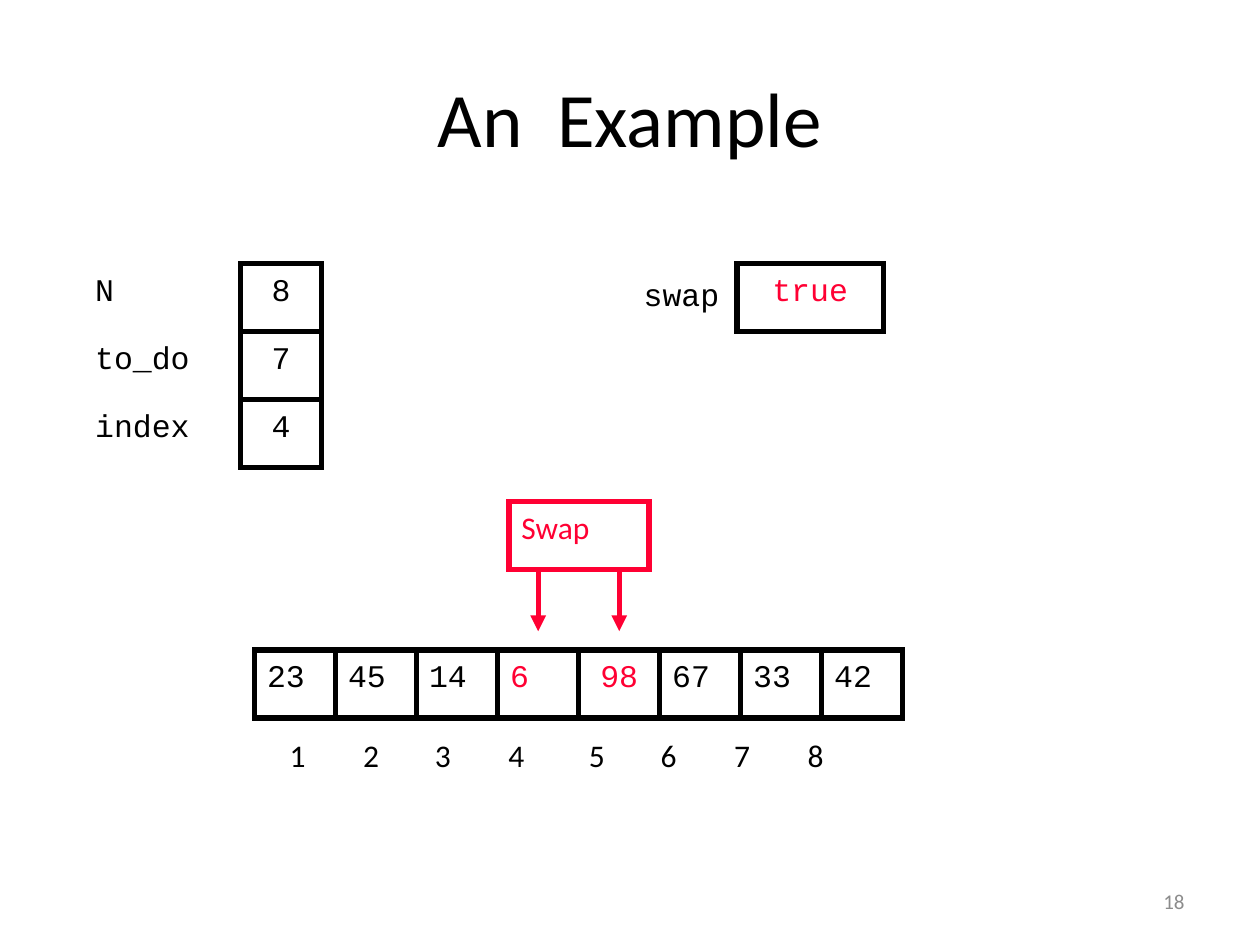
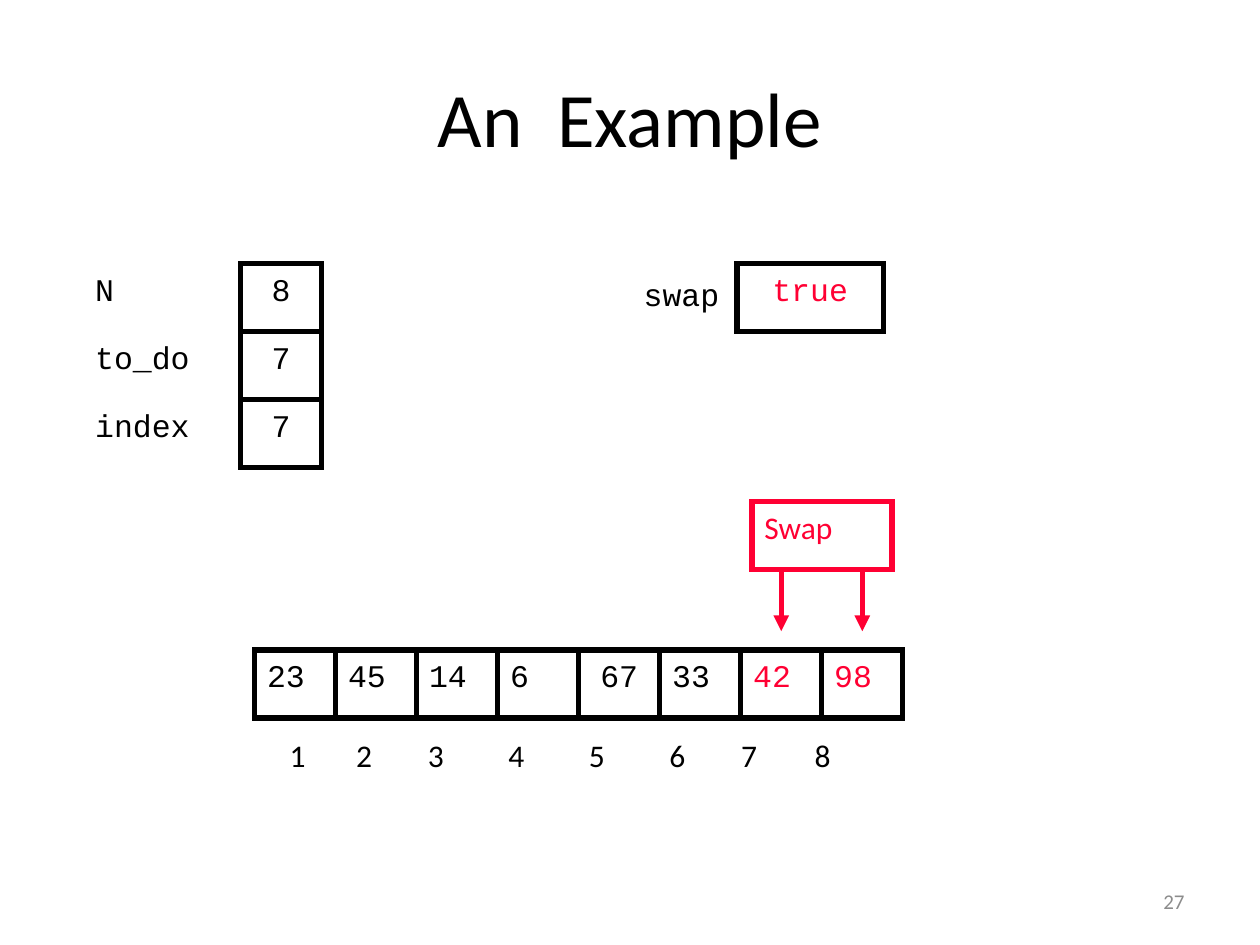
from lxml import etree
from pptx import Presentation
from pptx.dml.color import RGBColor
from pptx.enum.shapes import MSO_CONNECTOR, MSO_SHAPE
from pptx.enum.text import MSO_ANCHOR, PP_ALIGN
from pptx.oxml.ns import qn
from pptx.util import Pt

LEFT, CENTER, RIGHT = PP_ALIGN.LEFT, PP_ALIGN.CENTER, PP_ALIGN.RIGHT
TOP, MIDDLE = MSO_ANCHOR.TOP, MSO_ANCHOR.MIDDLE
RECT, STRAIGHT = MSO_SHAPE.RECTANGLE, MSO_CONNECTOR.STRAIGHT

BLACK = RGBColor(0x00, 0x00, 0x00)
RED = RGBColor(0xFF, 0x00, 0x33)
GRAY = RGBColor(0x8C, 0x8C, 0x8C)
SANS, MONO = "Calibri", "Courier New"

WIDE, HIGH = 46.3, 38.9
ROW_X, ROW_Y = 145.5, 371.5
VAR_X, VAR_Y = 137.5, 150.5
SWAP_Y, TIP_Y = 286.6, 360.7


class Deck:
    """Draws the frames of a sorting example in one style."""

    def __init__(self):
        self.prs = Presentation()
        self.prs.slide_width, self.prs.slide_height = Pt(720), Pt(540)

    def start(self, number):
        self.slide = self.prs.slides.add_slide(self.prs.slide_layouts[6])
        self.text("An  Example", 36, 21.6, 648, 90, SANS, 44, align=CENTER, anchor=MIDDLE)
        self.text(number, 516, 500.5, 168, 28.8, SANS, 12, GRAY, RIGHT, MIDDLE)

    def label(self, shape, words, font, size, color, align, anchor):
        frame = shape.text_frame
        frame.word_wrap = True
        frame.vertical_anchor = anchor
        frame.text = words
        para = frame.paragraphs[0]
        para.alignment = align
        for run in para.runs:
            run.font.name, run.font.size = font, Pt(size)
            run.font.color.rgb = color

    def text(self, words, x, y, w, h, font=MONO, size=18, color=BLACK, align=LEFT, anchor=TOP):
        box = self.slide.shapes.add_textbox(Pt(x), Pt(y), Pt(w), Pt(h))
        self.label(box, words, font, size, color, align, anchor)
        return box

    def cell(self, words, x, y, w=WIDE, font=MONO, color=BLACK, align=CENTER, edge=BLACK):
        box = self.slide.shapes.add_shape(RECT, Pt(x), Pt(y), Pt(w), Pt(HIGH))
        box.shadow.inherit = False
        box.fill.background()
        box.line.color.rgb = edge
        box.line.width = Pt(3)
        etree.SubElement(box._element.spPr.find(qn("a:ln")), qn("a:miter"), lim="800000")
        self.label(box, words, font, 18, color, align, TOP)

    def line(self, x1, y1, x2, y2, arrow=False):
        link = self.slide.shapes.add_connector(STRAIGHT, Pt(x1), Pt(y1), Pt(x2), Pt(y2))
        link.line.color.rgb = RED
        link.line.width = Pt(3)
        props = link._element.spPr
        if arrow:
            etree.SubElement(props.find(qn("a:ln")), qn("a:tailEnd"), type="triangle")
        etree.SubElement(props, qn("a:effectLst"))

    def state(self, index):
        for row, (name, value) in enumerate((("N", 8), ("to_do", 7), ("index", index))):
            y = VAR_Y + row * HIGH
            self.text(name, 47.3, y, 86.4, 36)
            self.cell(str(value), VAR_X, y)
        self.text("swap", 360.7, 153.4, 101.5, 28.8)
        self.cell("true", 421.2, VAR_Y, 83.5, color=RED)

    def array(self, values, first):
        for spot, value in enumerate(values):
            color = RED if spot in (first, first + 1) else BLACK
            align = CENTER if spot == 4 else LEFT
            self.cell(str(value), ROW_X + spot * WIDE, ROW_Y, color=color, align=align)

    def scale(self, stops):
        digits = "\t".join(str(n + 1) for n in range(len(stops) + 1))
        box = self.text(digits, 158.4, 416.9, 342, 28.8, SANS)
        props = box.text_frame.paragraphs[0]._p.get_or_add_pPr()
        tabs = etree.SubElement(props, qn("a:tabLst"))
        for stop in stops:
            etree.SubElement(tabs, qn("a:tab"), pos=str(Pt(stop)), algn="l")

    def swap(self, first):
        x = ROW_X + first * WIDE
        start, end = x + WIDE / 2, x + WIDE * 1.5
        base = SWAP_Y + HIGH
        for tip in (start, end):
            self.line(tip, base, tip, TIP_Y, arrow=True)
        self.line(start, base, end, base)
        self.cell("Swap", x + 6.5, SWAP_Y, 80, SANS, RED, LEFT, RED)


FRAMES = (
    ("18", 4, (23, 45, 14, 6, 98, 67, 33, 42), (42, 83, 125, 171, 212, 254, 296)),
    ("27", 7, (23, 45, 14, 6, 67, 33, 42, 98), (38, 79, 125, 171, 217, 258, 300)),
)


def main():
    deck = Deck()
    for number, index, values, stops in FRAMES:
        deck.start(number)
        deck.array(values, index - 1)
        deck.scale(stops)
        deck.state(index)
        deck.swap(index - 1)
    deck.prs.save("out.pptx")


if __name__ == "__main__":
    main()
